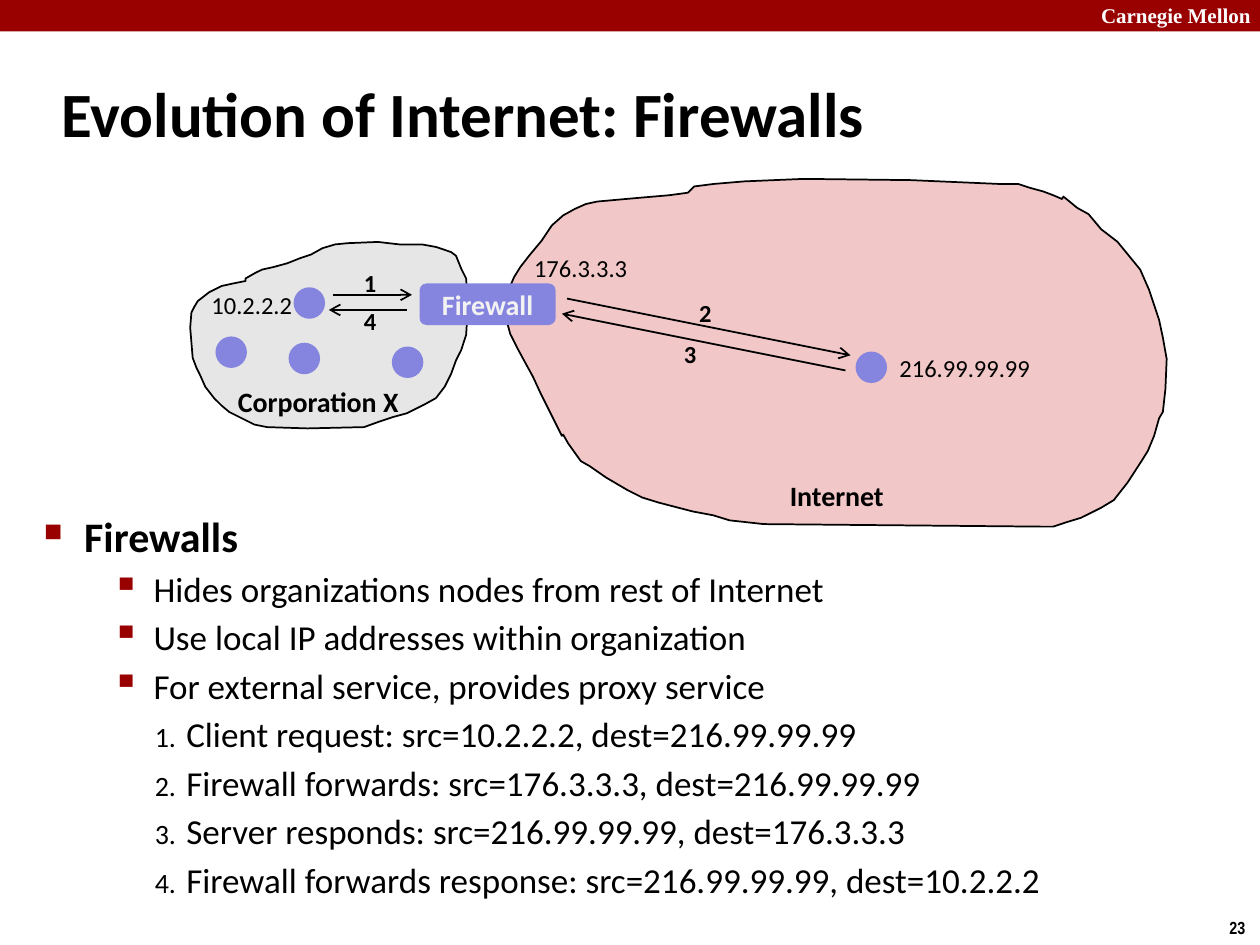
from lxml import etree
from pptx import Presentation
from pptx.dml.color import RGBColor
from pptx.enum.shapes import MSO_CONNECTOR, MSO_SHAPE
from pptx.enum.text import MSO_ANCHOR, PP_ALIGN
from pptx.oxml.ns import qn
from pptx.util import Inches, Pt

RECT, OVAL, ROUND = MSO_SHAPE.RECTANGLE, MSO_SHAPE.OVAL, MSO_SHAPE.ROUNDED_RECTANGLE
MIDDLE, CENTER, STRAIGHT = MSO_ANCHOR.MIDDLE, PP_ALIGN.CENTER, MSO_CONNECTOR.STRAIGHT
RED, NODE, BLACK, FONT = "990000", "8585E0", "000000", "Calibri"

# Content: (level, text)
BODY = [
    (0, "Firewalls"),
    (1, "Hides organizations nodes from rest of Internet"),
    (1, "Use local IP addresses within organization"),
    (1, "For external service, provides proxy service"),
    (2, "Client request: src=10.2.2.2, dest=216.99.99.99"),
    (2, "Firewall forwards: src=176.3.3.3, dest=216.99.99.99"),
    (2, "Server responds: src=216.99.99.99, dest=176.3.3.3"),
    (2, "Firewall forwards response: src=216.99.99.99, dest=10.2.2.2"),
]
# Per level: left margin, hanging indent, bullet, bullet size %, text size
LEVELS = [(0.32, 0.32, "■", 60, 24), (0.87, 0.33, "▪", 110, 20), (1.13, 0.25, None, 80, 20)]

# Network outlines
CORPORATION = [
    (1.95, 2.23), (1.85, 2.25), (1.76, 2.27), (1.66, 2.32), (1.57, 2.39), (1.54, 2.44),
    (1.52, 2.48), (1.51, 2.6), (1.53, 2.84), (1.56, 2.92), (1.59, 2.98), (1.63, 3.07),
    (1.7, 3.16), (1.76, 3.22), (1.82, 3.27), (1.92, 3.32), (2.02, 3.37), (2.12, 3.39),
    (2.44, 3.4), (2.89, 3.39), (3, 3.35), (3.12, 3.31), (3.23, 3.28), (3.37, 3.21),
    (3.46, 3.16), (3.53, 3.07), (3.58, 2.97), (3.62, 2.86), (3.66, 2.78), (3.7, 2.66),
    (3.71, 2.5), (3.71, 2.35), (3.7, 2.21), (3.66, 2.13), (3.62, 2.03), (3.58, 2),
    (3.46, 1.96), (3.35, 1.94), (3.17, 1.94), (3, 1.92), (2.76, 1.93), (2.66, 1.94),
    (2.56, 1.97), (2.47, 2.02), (2.38, 2.05), (2.28, 2.09), (2.17, 2.12), (2.08, 2.14),
    (2.02, 2.17), (1.95, 2.21),
]
INTERNET = [
    (4, 2.44), (4.03, 2.32), (4.08, 2.2), (4.13, 2.12), (4.2, 2.03), (4.3, 1.91),
    (4.38, 1.79), (4.47, 1.71), (4.56, 1.66), (4.65, 1.62), (4.74, 1.6), (5.08, 1.57),
    (5.31, 1.55), (5.46, 1.53), (5.51, 1.48), (5.67, 1.46), (5.91, 1.44), (6.38, 1.42),
    (7.23, 1.43), (7.92, 1.46), (8.08, 1.46), (8.17, 1.49), (8.28, 1.52), (8.36, 1.55),
    (8.43, 1.58), (8.44, 1.56), (8.55, 1.65), (8.64, 1.7), (8.74, 1.82), (8.87, 1.92),
    (8.96, 2.03), (9.05, 2.14), (9.12, 2.3), (9.2, 2.54), (9.23, 2.68), (9.26, 2.85),
    (9.25, 3.09), (9.23, 3.27), (9.2, 3.32), (9.16, 3.46), (9.11, 3.58), (9.06, 3.66),
    (8.95, 3.83), (8.84, 3.97), (8.74, 4.03), (8.58, 4.11), (8.45, 4.15), (8.36, 4.18),
    (8.26, 4.18), (6.06, 4.16), (5.79, 4.13), (5.66, 4.09), (5.5, 4.06), (5.23, 3.99),
    (5.1, 3.95), (4.98, 3.89), (4.81, 3.79), (4.68, 3.7), (4.61, 3.66), (4.51, 3.52),
    (4.47, 3.45), (4.46, 3.46), (4.37, 3.28), (4.29, 3.12), (4.23, 2.99), (4.17, 2.88),
    (4.11, 2.77), (4.05, 2.65), (4.02, 2.54),
]
NODES = [(1.71, 2.67), (2.29, 2.72), (2.33, 2.28), (3.11, 2.75), (6.79, 2.79)]
ARROWS = [(2.64, 2.34, 3.27, 2.34), (3.23, 2.46, 2.61, 2.46),
          (4.5, 2.37, 6.75, 2.82), (6.71, 2.94, 4.46, 2.49)]
NAMES = [("Corporation X", 1.79, 3, 1.5), ("Internet", 6.17, 3.75, 0.96)]
ADDRESSES = [("10.2.2.2", 1.58, 2.25, 0.86), ("176.3.3.3", 4.14, 1.96, 0.95),
             ("216.99.99.99", 7.04, 2.75, 1.25)]
STEPS = [("1", 2.79, 2.08, 0.3), ("2", 5.45, 2.32, 0.3),
         ("3", 5.33, 2.64, 0.3), ("4", 2.79, 2.38, 0.3)]

prs = Presentation()
prs.slide_width, prs.slide_height = Inches(10), Inches(7.5)
s = prs.slides.add_slide(prs.slide_layouts[6])


def rgb(value):
    return RGBColor.from_string(value)


def write(p, text, size=14, bold=False, color=BLACK, font=FONT):
    r = p.add_run()
    r.text = text
    f = r.font
    f.name, f.size, f.bold, f.color.rgb = font, Pt(size), bold, rgb(color)


def add_box(x, y, w, h, wrap=False, anchor=MSO_ANCHOR.TOP):
    tf = s.shapes.add_textbox(Inches(x), Inches(y), Inches(w), Inches(h)).text_frame
    tf.word_wrap, tf.vertical_anchor = wrap, anchor
    return tf


def add_label(text, x, y, w, h=0.34, **fmt):
    write(add_box(x, y, w, h).paragraphs[0], text, **fmt)


def paint(sp, fill, line=None):
    sp.shadow.inherit = False
    sp.fill.solid()
    sp.fill.fore_color.rgb = rgb(fill)
    if line:
        sp.line.color.rgb, sp.line.width = rgb(line), Pt(1)
    else:
        sp.line.fill.background()


def add_shape(kind, x, y, w, h, fill):
    sp = s.shapes.add_shape(kind, Inches(x), Inches(y), Inches(w), Inches(h))
    paint(sp, fill)
    return sp


def add_cloud(points, fill):
    pts = [(Inches(x), Inches(y)) for x, y in points]
    fb = s.shapes.build_freeform(*pts[0])
    fb.add_line_segments(pts[1:], close=True)
    paint(fb.convert_to_shape(), fill, BLACK)


def add_arrow(*ends):
    c = s.shapes.add_connector(STRAIGHT, *map(Inches, ends))
    c.line.color.rgb, c.line.width = rgb(BLACK), Pt(1)
    etree.SubElement(c.line._get_or_add_ln(), qn("a:tailEnd"), type="arrow")
    etree.SubElement(c._element.spPr, qn("a:effectLst"))


def set_bullet(p, level):
    left, hang, char, percent, _ = LEVELS[level]
    pPr = p._p.get_or_add_pPr()
    pPr.set("marL", str(Inches(left)))
    pPr.set("indent", str(-Inches(hang)))
    if char:
        clr = etree.SubElement(pPr, qn("a:buClr"))
        etree.SubElement(clr, qn("a:srgbClr"), val=RED)
    etree.SubElement(pPr, qn("a:buSzPct"), val=str(percent * 1000))
    if char:
        etree.SubElement(pPr, qn("a:buChar"), char=char)
    else:
        etree.SubElement(pPr, qn("a:buFont"), typeface=FONT)
        etree.SubElement(pPr, qn("a:buAutoNum"), type="arabicPeriod")


# Header band, page number and title
add_shape(RECT, 0, 0, 10, 0.25, RED)
add_label("Carnegie Mellon", 8.64, -0.03, 1.43, 0.3, size=12, bold=True,
          color="FFFFFF", font="Times New Roman")
add_label("23", 9.66, 7.23, 0.34, 0.27, size=10, bold=True, font="Arial Narrow")
title = add_box(0.39, 0.48, 8.3, 0.83, wrap=True, anchor=MIDDLE)
write(title.paragraphs[0], "Evolution of Internet: Firewalls", size=36, bold=True)

# Bulleted text
tf = add_box(0.25, 4, 9.09, 3.33, wrap=True)
for i, (level, text) in enumerate(BODY):
    p = tf.add_paragraph() if i else tf.paragraphs[0]
    p.level = level
    set_bullet(p, level)
    if i:
        p.space_before = Pt(3.7)
    write(p, text, size=LEVELS[level][-1], bold=level == 0)

# Network diagram
add_cloud(CORPORATION, "E6E6E6")
add_cloud(INTERNET, "F1C7C7")
for x, y in NODES:
    add_shape(OVAL, x, y, 0.25, 0.25, NODE)
firewall = add_shape(ROUND, 3.33, 2.25, 1.08, 0.33, NODE).text_frame
firewall.vertical_anchor = MIDDLE
firewall.paragraphs[0].alignment = CENTER
write(firewall.paragraphs[0], "Firewall", size=16, bold=True, color="F2F2F2")
for ends in ARROWS:
    add_arrow(*ends)
for name in NAMES:
    add_label(*name, h=0.37, size=16, bold=True)
for address in ADDRESSES:
    add_label(*address)
for step in STEPS:
    add_label(*step, bold=True)

prs.save("out.pptx")
